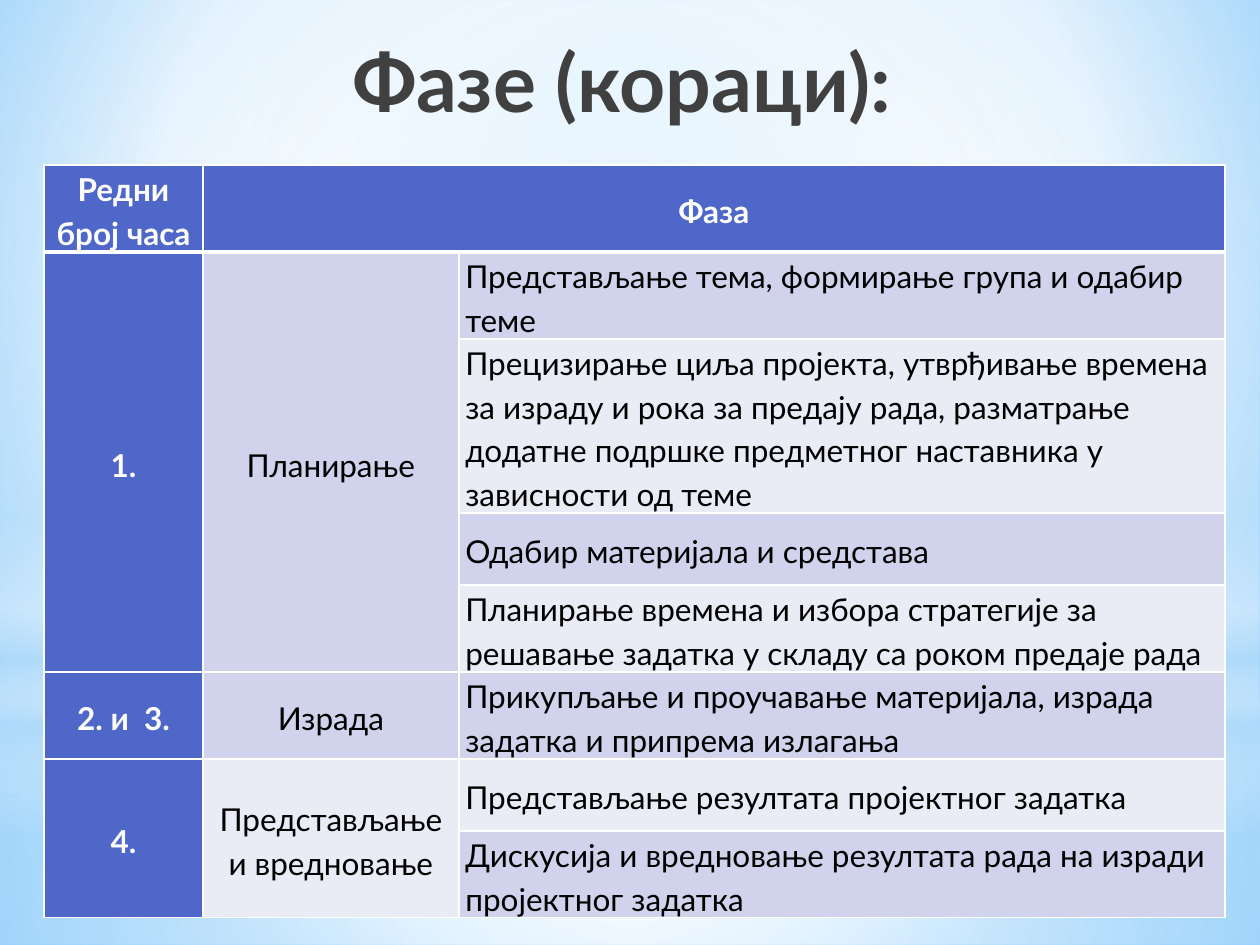
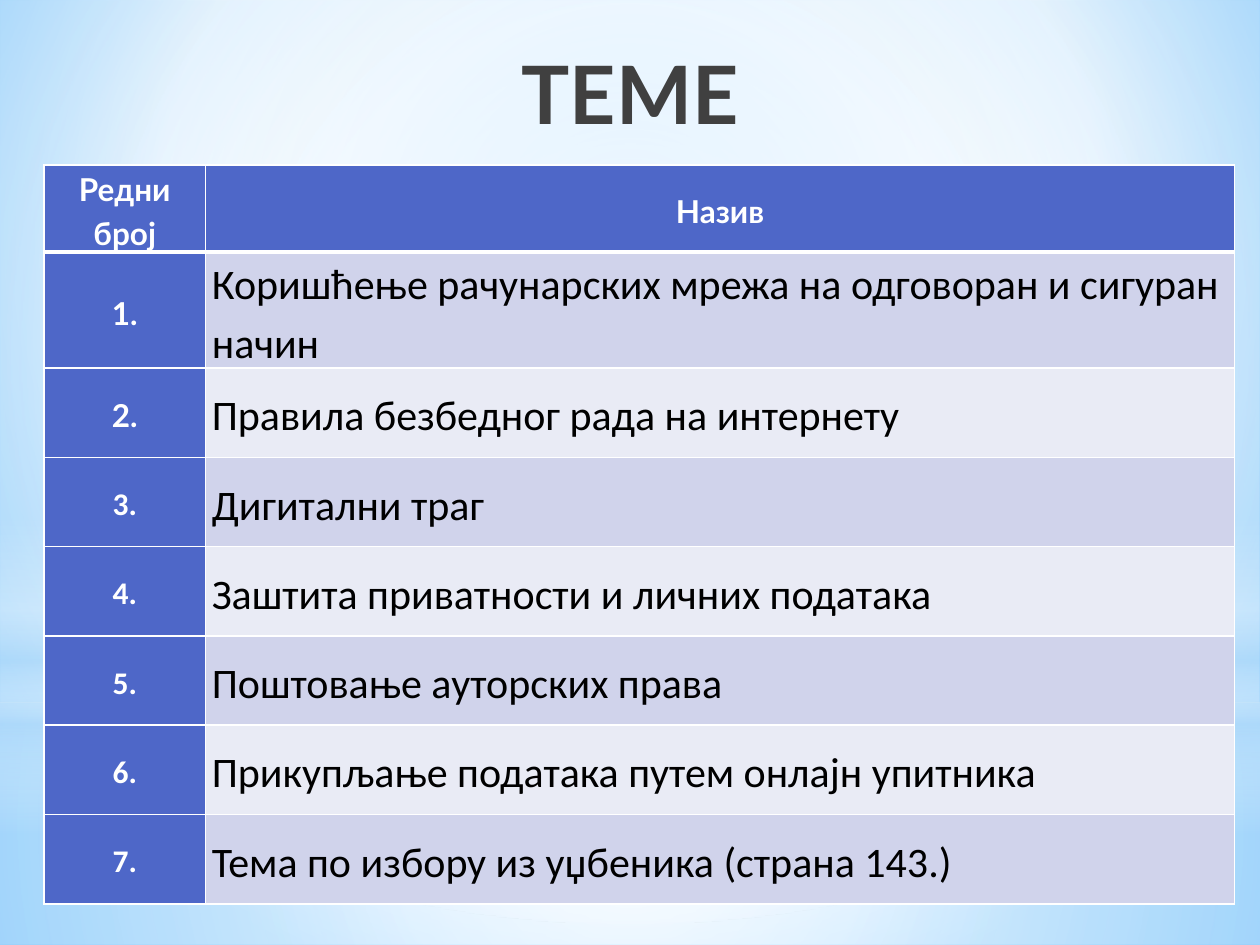
from dataclasses import dataclass

from lxml.etree import SubElement
from pptx import Presentation
from pptx.dml.color import RGBColor
from pptx.enum.shapes import MSO_SHAPE as Shape
from pptx.enum.text import MSO_ANCHOR as Anchor, PP_ALIGN as Align
from pptx.oxml.ns import qn
from pptx.util import Cm, Pt


@dataclass(frozen=True)
class Theme:
    white: str = "FFFFFF"
    black: str = "000000"
    title: str = "404040"
    accent: str = "4E67C8"
    mist: str = "B4DCFA"
    bands: tuple = ("E9EBF5", "D0D3EB")
    backdrop: tuple = ((0, "9ED5FF"), (60, "FFFFFF"), (100, "5BB9FF"))
    head_font: str = "Lato"
    body_font: str = "Calibri"
    title_size: int = 46
    text_size: int = 18
    topic_size: int = 24
    spacing: float = 1.15
    inset: float = 0.13
    rule: int = 1
    head_rule: int = 3


class Deck:
    def __init__(self, theme):
        self.t = theme
        self.prs = Presentation()
        self.prs.slide_width, self.prs.slide_height = Cm(25.4), Cm(19.05)
        self.s = None

    def add_slide(self):
        self.s = self.prs.slides.add_slide(self.prs.slide_layouts[6])
        t = self.t
        bg = self.s.background.fill
        bg.solid()
        bg.fore_color.rgb = RGBColor.from_string(t.white)
        self.gradient(self.s.element.find(".//" + qn("p:bgPr")), t.backdrop, (20, 10, 20, 60))
        centre = (50, 50, 50, 50)
        self.glow(Shape.RECTANGLE, 14.17, 4.88,
                  ((0, t.white, 91), (37, t.white, 76), (100, t.mist, 79)), centre)
        self.glow(Shape.RECTANGLE, 0, 14.17,
                  ((0, t.white, 89), (48, t.white, 62), (100, t.mist, 79)), centre)
        self.glow(Shape.RECTANGLE, 10.46, 6.35,
                  ((0, t.white, 0), (29, t.white, 30), (45, t.mist, 40),
                   (55, t.white, 26), (65, t.mist, 60), (100, t.white, 0)))
        self.glow(Shape.OVAL, 4.45, 14.17, ((0, t.white), (56, t.white, 0)), centre)

    def gradient(self, holder, stops, focus=None):
        old = holder.find(qn("a:solidFill"))
        fill = holder.makeelement(qn("a:gradFill"), {"rotWithShape": "1"})
        holder.replace(old, fill)
        gs_lst = SubElement(fill, qn("a:gsLst"))
        for pos, color, *alpha in stops:
            gs = SubElement(gs_lst, qn("a:gs"), pos=str(pos * 1000))
            clr = SubElement(gs, qn("a:srgbClr"), val=color)
            for value in alpha:
                SubElement(clr, qn("a:alpha"), val=str(value * 1000))
        if focus:
            shade = SubElement(fill, qn("a:path"), {"path": "circle"})
            sides = {side: str(value * 1000) for side, value in zip("ltrb", focus)}
            SubElement(shade, qn("a:fillToRect"), sides)
        else:
            SubElement(fill, qn("a:lin"), ang="5400000", scaled="0")

    def glow(self, kind, top, height, stops, focus=None):
        sp = self.s.shapes.add_shape(kind, 0, Cm(top), self.prs.slide_width, Cm(height))
        sp.shadow.inherit = False
        sp.line.fill.background()
        sp.fill.solid()
        sp.fill.fore_color.rgb = RGBColor.from_string(self.t.white)
        self.gradient(sp.element.spPr, stops, focus)

    def add_text(self, tf, text, color, align=Align.CENTER, **fmt):
        p = tf.paragraphs[0]
        p.alignment = align
        r = p.add_run()
        r.text = text
        for name, value in fmt.items():
            setattr(r.font, name, value)
        r.font.color.rgb = RGBColor.from_string(color)
        return p

    def title(self, text, *box):
        tf = self.s.shapes.add_textbox(*map(Cm, box)).text_frame
        tf.word_wrap = True
        tf.vertical_anchor = Anchor.TOP
        self.add_text(tf, text, self.t.title, name=self.t.head_font,
                      size=Pt(self.t.title_size), bold=True)

    def borders(self, cell, **widths):
        tc_pr = cell._tc.get_or_add_tcPr()
        for i, side in enumerate("LRTB"):
            width = Pt(widths.get(side, self.t.rule))
            ln = tc_pr.makeelement(qn(f"a:ln{side}"), {"w": str(width)})
            fill = SubElement(ln, qn("a:solidFill"))
            SubElement(fill, qn("a:srgbClr"), val=self.t.white)
            tc_pr.insert(i, ln)

    def cell(self, cell, text, row, col, last, style):
        t = self.t
        strong = row == 0 or col == 0
        cell.fill.solid()
        cell.fill.fore_color.rgb = RGBColor.from_string(t.accent if strong else t.bands[row % 2])
        layout = {"vertical_anchor": Anchor.MIDDLE, "margin_top": 0, "margin_bottom": 0,
                  "margin_left": Cm(t.inset), "margin_right": Cm(t.inset)}
        for name, value in layout.items():
            setattr(cell, name, value)
        font, size = style(row, col)
        p = self.add_text(cell.text_frame, text, t.white if strong else t.black,
                          Align.LEFT if row and col == last else Align.CENTER,
                          name=font, size=Pt(size), bold=strong)
        p.line_spacing = t.spacing
        edge = {0: {"B": t.head_rule}, 1: {"T": t.head_rule}}
        self.borders(cell, **edge.get(row, {}))

    def table(self, cols, heights, rows, style, merges=()):
        frame = self.s.shapes.add_table(len(rows), len(cols), Cm(0.89), Cm(3.33),
                                        Cm(sum(cols)), Cm(sum(heights)))
        tbl = frame.table
        for column, width in zip(tbl.columns, cols):
            column.width = Cm(width)
        for line, height in zip(tbl.rows, heights):
            line.height = Cm(height)
        for first, last in merges:
            tbl.cell(*first).merge(tbl.cell(*last))
        for i, texts in enumerate(rows):
            for j, text in enumerate(texts):
                if not tbl.cell(i, j).is_spanned:
                    self.cell(tbl.cell(i, j), text, i, j, len(cols) - 1, style)


PHASES = [
    ("Редни број часа", "Фаза", None),
    ("1.", "Планирање", "Представљање тема, формирање група и одабир теме"),
    (None, None, "Прецизирање циља пројекта, утврђивање времена за израду и рока за предају рада, "
                 "разматрање додатне подршке предметног наставника у зависности од теме"),
    (None, None, "Одабир материјала и средстава"),
    (None, None, "Планирање времена и избора стратегије за решавање задатка у складу са роком предаје рада"),
    ("2. и  3.", "Израда", "Прикупљање и проучавање материјала, израда задатка и припрема излагања"),
    ("4.", "Представљање и вредновање", "Представљање резултата пројектног задатка"),
    (None, None, "Дискусија и вредновање резултата рада на изради пројектног задатка"),
]
PHASE_MERGES = [((0, 1), (0, 2)), ((1, 0), (4, 0)), ((1, 1), (4, 1)),
                ((6, 0), (7, 0)), ((6, 1), (7, 1))]
TOPICS = [
    "Коришћење рачунарских мрежа на одговоран и сигуран начин",
    "Правила безбедног рада на интернету",
    "Дигитални траг",
    "Заштита приватности и личних података",
    "Поштовање ауторских права",
    "Прикупљање података путем онлајн упитника",
    "Тема по избору из уџбеника (страна 143.)",
]


def main():
    theme = Theme()
    deck = Deck(theme)

    def phase_style(row, col):
        return theme.head_font, theme.text_size

    def topic_style(row, col):
        if row and col:
            return theme.body_font, theme.topic_size
        return (theme.head_font if row < 3 else theme.body_font), theme.text_size

    deck.add_slide()
    deck.title("Фазе (кораци):", 3.5, 0.53, 18.08, 3.18)
    deck.table((3.2, 5.16, 15.44), (1.45, 1.45, 3, 1.45, 1.47, 1.47, 1.45, 1.47),
               PHASES, phase_style, PHASE_MERGES)

    deck.add_slide()
    deck.title("ТЕМЕ", 1.27, 0.76, 22.86, 2.2)
    topics = [(f"{n}.", topic) for n, topic in enumerate(TOPICS, 1)]
    deck.table((3.25, 20.75), [1.19] + [1.8] * len(topics),
               [("Редни број", "Назив")] + topics, topic_style)

    deck.prs.save("out.pptx")


if __name__ == "__main__":
    main()
